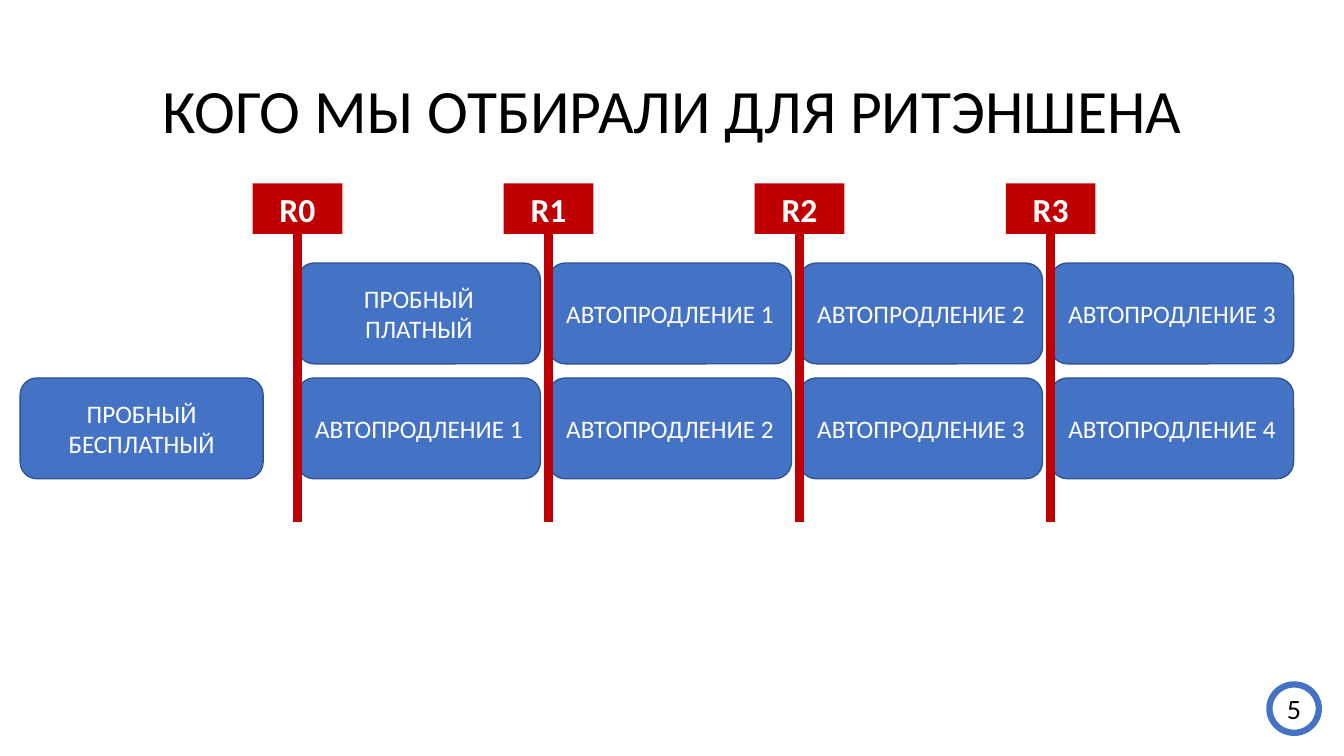
from dataclasses import dataclass

from lxml import etree
from pptx import Presentation
from pptx import util as u
from pptx.dml.color import RGBColor
from pptx.enum import shapes, text
from pptx.oxml.ns import qn


@dataclass(frozen=True)
class Theme:
    font: str = "Calibri"
    black: str = "000000"
    white: str = "FFFFFF"
    blue: str = "4472C4"
    dark_blue: str = "325491"
    red: str = "C00000"
    title_size: int = 44
    flag_size: int = 24
    number_size: int = 20
    stage_size: int = 18


THEME = Theme()
KIND = shapes.MSO_SHAPE

TITLE = "КОГО МЫ ОТБИРАЛИ ДЛЯ РИТЭНШЕНА"
FREE_TRIAL = "ПРОБНЫЙ\nБЕСПЛАТНЫЙ"
RENEWALS = [f"АВТОПРОДЛЕНИЕ {n}" for n in range(1, 5)]
PAID_ROW = ["ПРОБНЫЙ\nПЛАТНЫЙ"] + RENEWALS[:3]
FREE_ROW = RENEWALS

STAGE_W, STAGE_H = 2.41, 1.0
COLUMN_STEP, ROW_STEP = 2.49, 1.14
FLAG_W, FLAG_H = 0.89, 0.5


def rgb(color):
    return RGBColor.from_string(color)


def write(sp, content, size, color, bold=False):
    """Put centred text into a shape, one paragraph per line."""
    tf = sp.text_frame
    tf.text = content
    tf.word_wrap = True
    tf.vertical_anchor = text.MSO_ANCHOR.MIDDLE
    tf.margin_left = tf.margin_right = 0
    for p in tf.paragraphs:
        p.alignment = text.PP_ALIGN.CENTER
        for r in p.runs:
            r.font.name = THEME.font
            r.font.size = u.Pt(size)
            r.font.bold = bold
            r.font.color.rgb = rgb(color)


def add_filled(slide, kind, box, fill, line=None, line_width=1):
    sp = slide.shapes.add_shape(kind, *map(u.Inches, box))
    sp.shadow.inherit = False
    sp.fill.solid()
    sp.fill.fore_color.rgb = rgb(fill)
    if line:
        sp.line.color.rgb = rgb(line)
        sp.line.width = u.Pt(line_width)
    else:
        sp.line.fill.background()
    return sp


def add_title(slide, box):
    sp = slide.shapes.add_textbox(*map(u.Inches, box))
    write(sp, TITLE, THEME.title_size, THEME.black)
    sp.text_frame.paragraphs[0].line_spacing = 0.9


def add_stage(slide, left, top, label):
    sp = add_filled(slide, KIND.ROUNDED_RECTANGLE, (left, top, STAGE_W, STAGE_H),
                    THEME.blue, THEME.dark_blue)
    write(sp, label, THEME.stage_size, THEME.white)


def add_stages(slide, left, top):
    for row, labels in enumerate((PAID_ROW, FREE_ROW)):
        for column, label in enumerate(labels):
            add_stage(slide, left + column * COLUMN_STEP, top + row * ROW_STEP, label)


def add_milestone(slide, x, top, bottom, label):
    """Draw a flag centred on x with its pole running down to bottom."""
    flag = add_filled(slide, KIND.RECTANGLE, (x - FLAG_W / 2, top, FLAG_W, FLAG_H), THEME.red)
    write(flag, label, THEME.flag_size, THEME.white, bold=True)
    pole = slide.shapes.add_connector(
        shapes.MSO_CONNECTOR.STRAIGHT,
        u.Inches(x), u.Inches(top + FLAG_H), u.Inches(x), u.Inches(bottom))
    pole.begin_connect(flag, 2)
    pole.line.color.rgb = rgb(THEME.red)
    pole.line.width = u.Pt(6)
    etree.SubElement(pole._element.spPr, qn("a:effectLst"))


def add_milestones(slide, left, top, bottom):
    for n in range(len(PAID_ROW)):
        add_milestone(slide, left + n * COLUMN_STEP, top, bottom, f"R{n}")


def add_page_number(slide, box, number):
    sp = add_filled(slide, KIND.OVAL, box, THEME.white, THEME.blue, 4.5)
    write(sp, str(number), THEME.number_size, THEME.black)


def build_retention_slide(prs):
    slide = prs.slides.add_slide(prs.slide_layouts[6])
    add_title(slide, (0.92, 0.4, 11.5, 1.45))
    add_stage(slide, 0.2, 2.61 + ROW_STEP, FREE_TRIAL)
    add_stages(slide, 2.95, 2.61)
    add_milestones(slide, 2.95, 1.82, 5.18)
    add_page_number(slide, (12.59, 6.79, 0.49, 0.48), 5)


def main():
    prs = Presentation()
    prs.slide_width, prs.slide_height = u.Inches(13.33), u.Inches(7.5)
    build_retention_slide(prs)
    prs.save("out.pptx")


if __name__ == "__main__":
    main()
